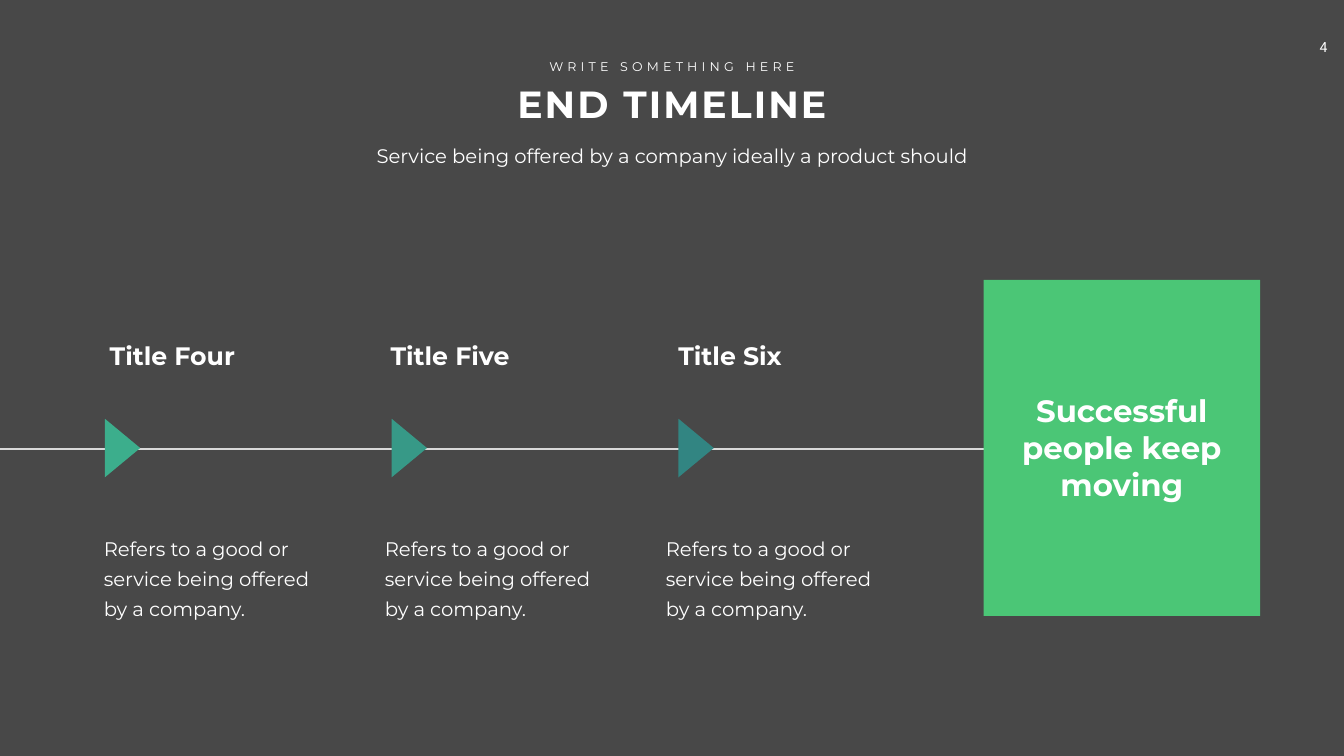
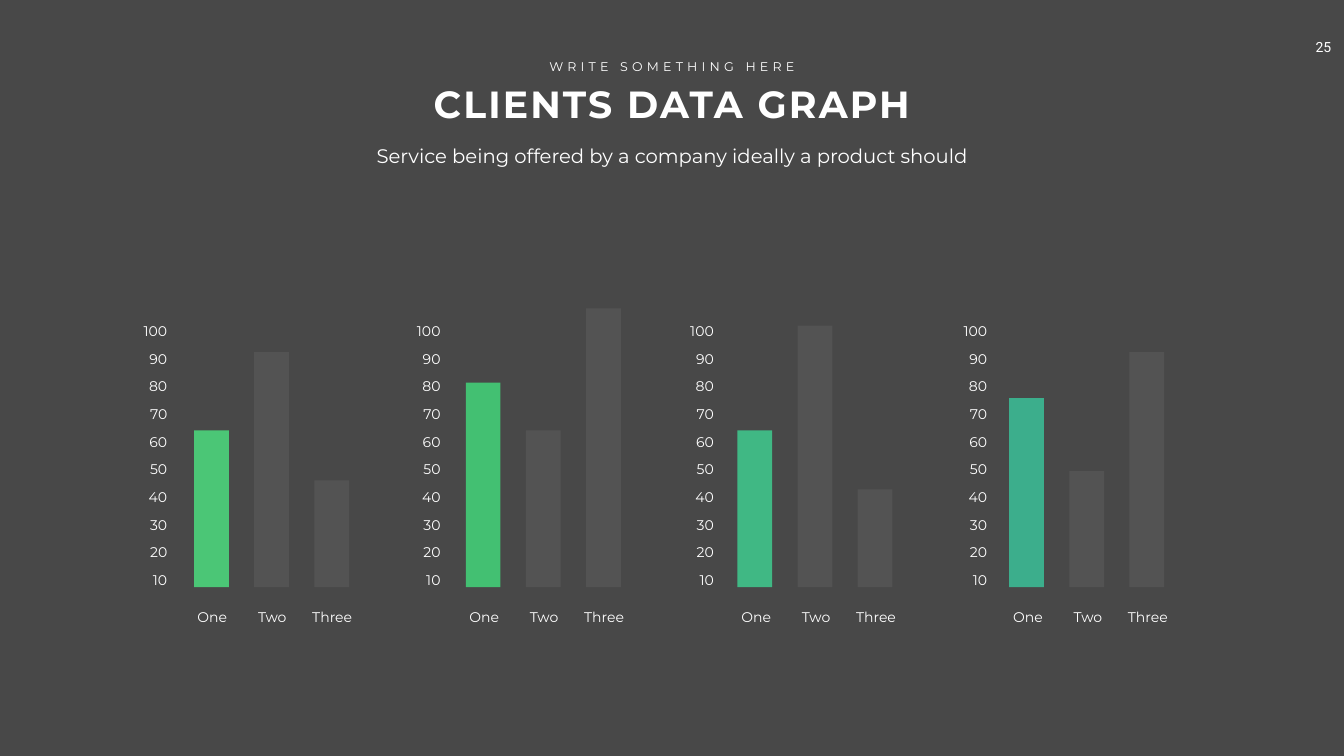
"""Build a closing timeline slide and a clients data graph slide."""
from pptx import Presentation
from pptx.dml.color import RGBColor
from pptx.enum.shapes import MSO_CONNECTOR, MSO_SHAPE
from pptx.enum.text import MSO_ANCHOR, MSO_AUTO_SIZE, PP_ALIGN
from pptx.oxml.ns import qn
from pptx.util import Cm, Pt
from lxml.etree import SubElement

W, H = 67.72, 38.1
DARK, WHITE, RULE, GREEN, GREY = "484848", "FFFFFF", "D9D9D9", "4BC676", "808080"
FONT = "Montserrat"
TIGHT, WIDE = (0.25, 0.13, 0.25, 0.13), (0.61, 0.3, 0.61, 0.3)
LEFT, CENTER, RIGHT = PP_ALIGN.LEFT, PP_ALIGN.CENTER, PP_ALIGN.RIGHT

EYEBROW = "WRITE SOMETHING HERE"
SUBTITLE = "Service being offered by a company ideally a product should"

DESCRIPTION = "Refers to a good or service being offered by a company."
GOAL = "Successful people keep moving"
STEPS = [
    ("Title Four", 5.28, "3CAE8C"),
    ("Title Five", 19.43, "379987"),
    ("Title Six", 33.93, "328582"),
]

SCALE = [str(n) for n in range(100, 0, -10)]
CATEGORIES = ["One", "Two", "Three"]
GRAPHS = [
    (GREEN, (7.9, 11.84, 5.38)),
    ("43C072", (10.31, 7.9, 14.05)),
    ("40B884", (7.9, 13.18, 4.93)),
    ("3CAE8C", (9.53, 5.84, 11.84)),
]


def rgb(color):
    """Return a colour from a hex string."""
    return RGBColor.from_string(color)


def set_all(obj, values):
    """Set each attribute named in a dict."""
    for name, value in values.items():
        setattr(obj, name, value)


def write(sp, lines, size, align=LEFT, bold=False, font=FONT, inset=TIGHT,
          wrap=True, spacing=None, before=0, track=0):
    """Fill a shape's text frame with formatted paragraphs."""
    tf = sp.text_frame
    sides = ("margin_left", "margin_top", "margin_right", "margin_bottom")
    set_all(tf, dict(zip(sides, map(Cm, inset))))
    set_all(tf, {"word_wrap": wrap, "auto_size": MSO_AUTO_SIZE.NONE,
                 "vertical_anchor": MSO_ANCHOR.TOP})
    for i, line in enumerate(lines):
        p = tf.add_paragraph() if i else tf.paragraphs[0]
        set_all(p, {"alignment": align, "line_spacing": spacing,
                    "space_before": Pt(before if i else 0)})
        r = p.add_run()
        r.text = line
        set_all(r.font, {"name": font, "size": Pt(size), "bold": bold})
        r.font.color.rgb = rgb(WHITE)
        if track:
            r._r.get_or_add_rPr().set("spc", str(track * 100))


def add_text(s, box, lines, size, **style):
    """Add a text box at a box given in centimetres."""
    write(s.shapes.add_textbox(*map(Cm, box)), lines, size, **style)


def add_block(s, kind, box, color, alpha=None):
    """Add a filled shape without outline, optionally see-through."""
    sp = s.shapes.add_shape(kind, *map(Cm, box))
    sp.shadow.inherit = False
    sp.line.fill.background()
    sp.fill.solid()
    sp.fill.fore_color.rgb = rgb(color)
    if alpha:
        clr = sp._element.spPr.find(qn("a:solidFill"))[0]
        SubElement(clr, qn("a:alpha")).set("val", str(alpha * 1000))
    return sp


def add_slide(prs, title, title_width, number):
    """Add a slide with the shared heading and page number."""
    s = prs.slides.add_slide(prs.slide_layouts[5])
    add_text(s, (65.74, 1.7, 2.31, 1.37), [number], 20, align=CENTER,
             font="Roboto", inset=(0.51, 0.25, 0.93, 0.25), wrap=False)
    set_all(s.shapes.title, {"left": Cm((W - title_width) / 2), "top": Cm(3.94),
                             "width": Cm(title_width), "height": Cm(2.57)})
    write(s.shapes.title, [title], 54, align=CENTER, bold=True, track=3)
    add_text(s, (27.28, 2.84, 13.16, 1.02), [EYEBROW], 18, align=CENTER,
             wrap=False, track=6)
    add_text(s, (17.17, 6.6, 33.38, 2.01), [SUBTITLE], 28, align=CENTER,
             inset=WIDE, spacing=Pt(43))
    return s


def add_timeline(s):
    """Draw the line, its steps and the goal panel."""
    line = s.shapes.add_connector(MSO_CONNECTOR.STRAIGHT, Cm(55.12), Cm(22.61),
                                  Cm(0), Cm(22.61))
    line.line.color.rgb = rgb(RULE)
    line.line.width = Pt(3)
    SubElement(line._element.spPr, qn("a:effectLst"))
    add_block(s, MSO_SHAPE.RECTANGLE, (49.56, 14.1, 13.94, 16.94), GREEN)
    add_text(s, (50.93, 19.61, 11.2, 5.89), [GOAL], 44, align=CENTER, bold=True)
    for i, (name, left, color) in enumerate(STEPS):
        add_text(s, (left, 17.02, 9.96, 1.8), [name], 36, bold=True)
        arrow = add_block(s, MSO_SHAPE.ISOSCELES_TRIANGLE,
                          (4.7 + 14.45 * i, 21.69, 2.95, 1.78), color)
        arrow.rotation = 90
        add_text(s, (4.62 + 14.16 * i, 26.44, 12.22, 5.08), [DESCRIPTION], 28,
                 inset=WIDE, spacing=Pt(43))


def add_graphs(s):
    """Draw each bar graph with its scale and category labels."""
    base = 29.59
    small = {"inset": WIDE, "spacing": 1.5, "before": 3.5}
    for i, (accent, heights) in enumerate(GRAPHS):
        add_text(s, (5.94 + 13.77 * i, 15.54, 3.1, 14.83), SCALE, 20,
                 align=RIGHT, **small)
        for j, (name, height) in enumerate(zip(CATEGORIES, heights)):
            bar = (9.78 + 13.69 * i + 3.03 * j, base - height, 1.75, height)
            color, alpha = (GREY, 20) if j else (accent, None)
            add_block(s, MSO_SHAPE.RECTANGLE, bar, color, alpha)
            add_text(s, (9.0 + 13.7 * i + 3.02 * j, 29.95, 3.4, 1.75), [name],
                     20, align=CENTER, **small)


def main():
    """Build and save the presentation."""
    prs = Presentation()
    set_all(prs, {"slide_width": Cm(W), "slide_height": Cm(H)})
    fill = prs.slide_master.background.fill
    fill.solid()
    fill.fore_color.rgb = rgb(DARK)
    add_timeline(add_slide(prs, "END TIMELINE", 18.87, "4"))
    add_graphs(add_slide(prs, "CLIENTS DATA GRAPH", 30.71, "25"))
    prs.save("out.pptx")


if __name__ == "__main__":
    main()
